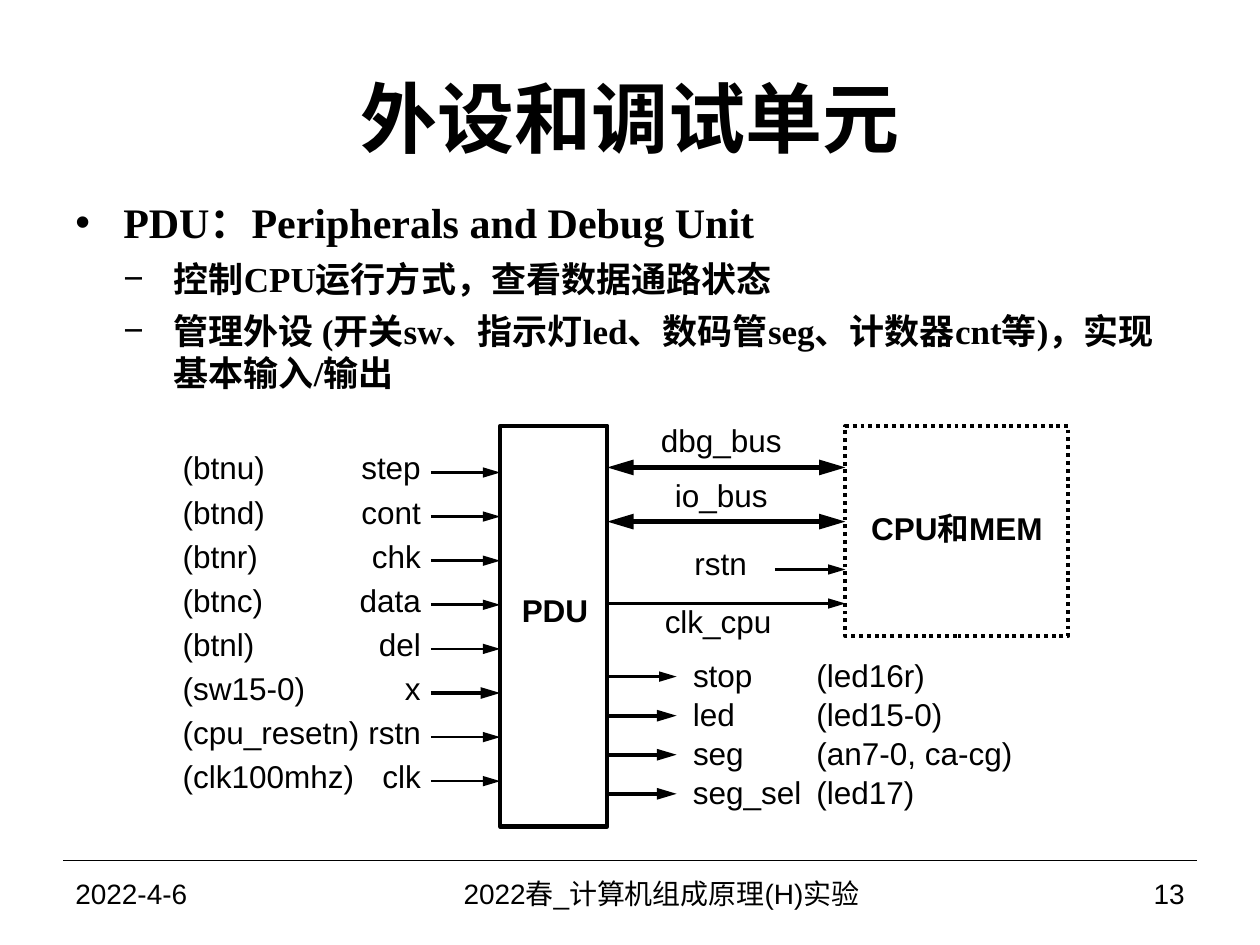
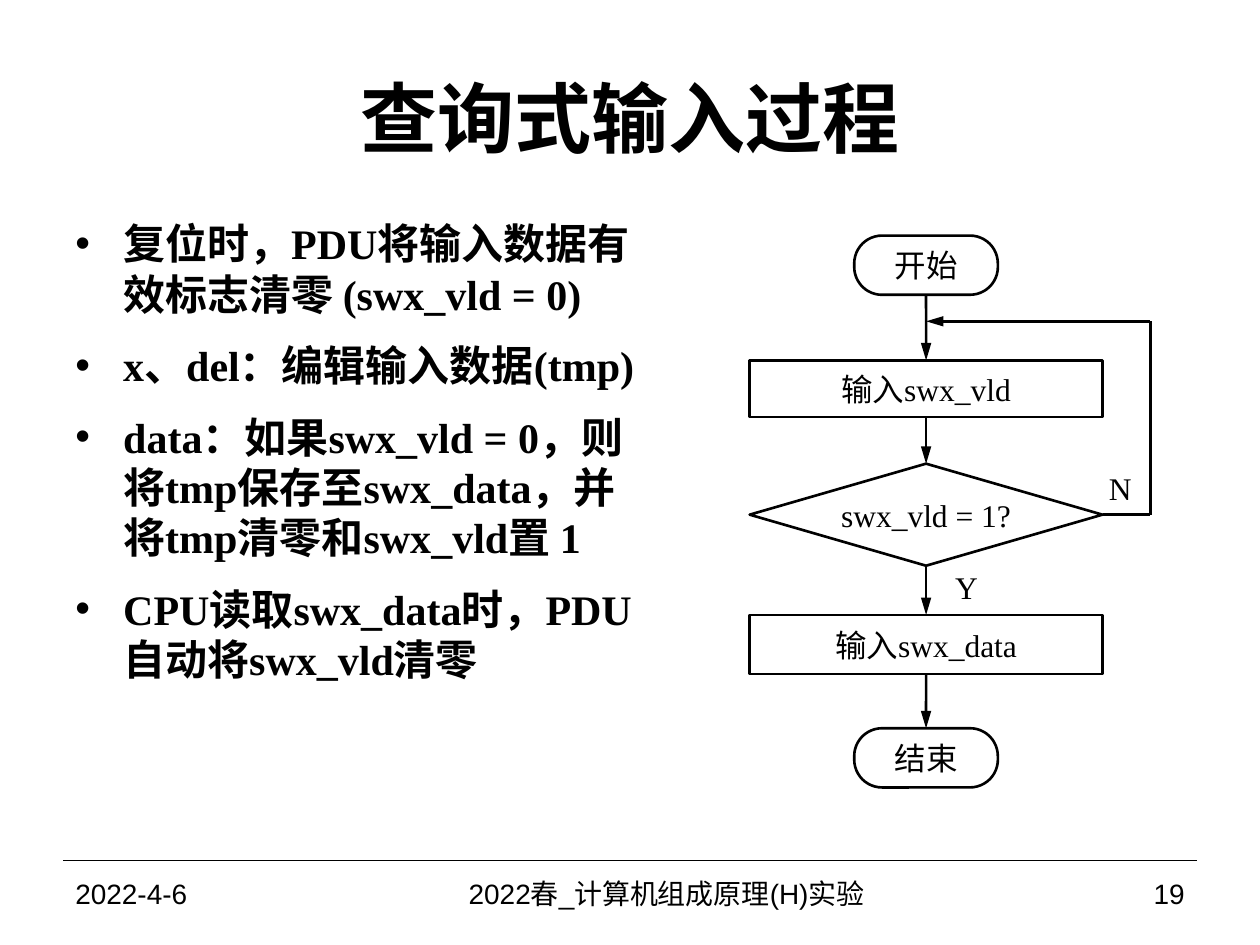
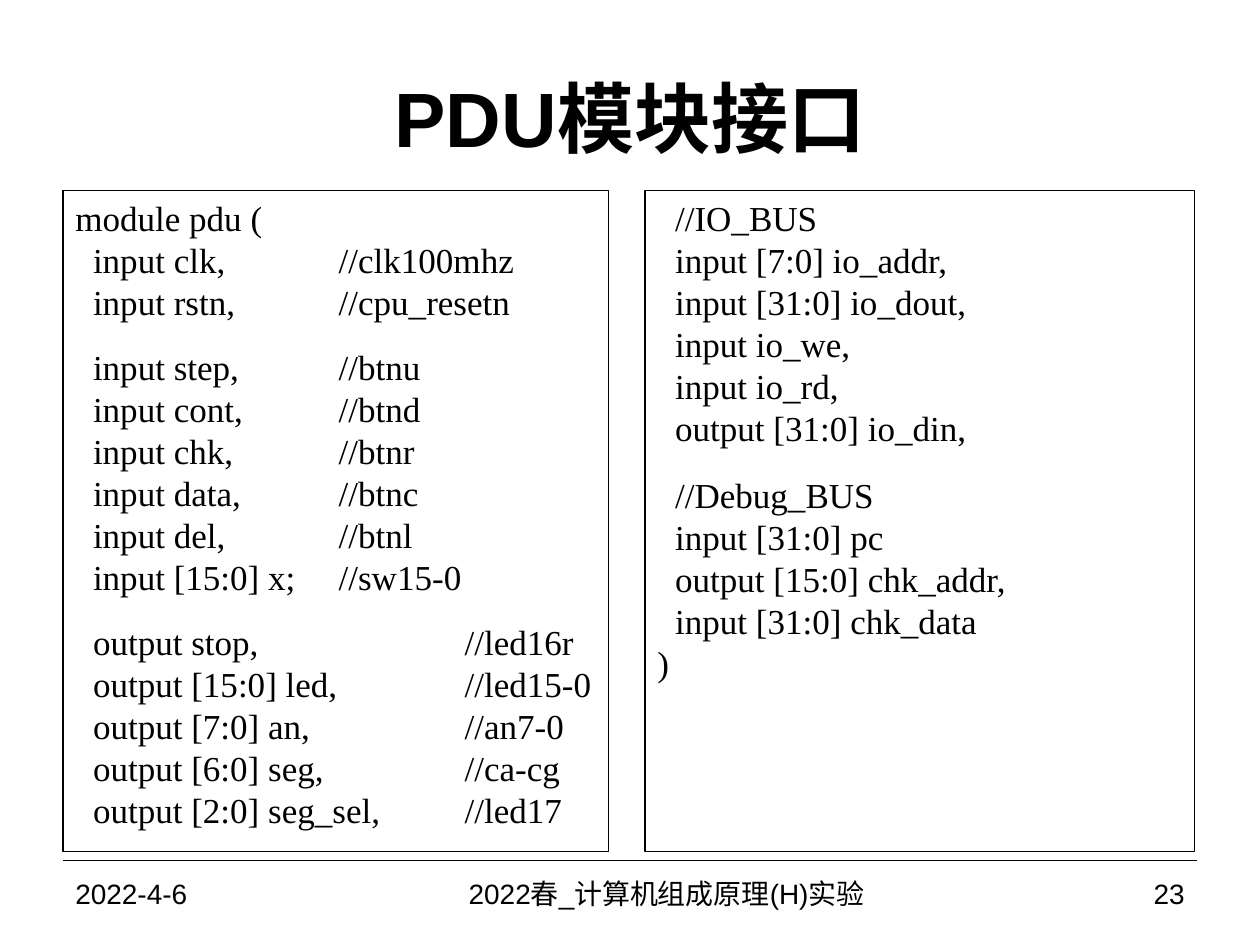
from lxml import etree
from pptx import Presentation
from pptx import util as u
from pptx.dml.color import RGBColor
from pptx.enum import dml, shapes, text
from pptx.oxml import ns

BLACK = RGBColor(0, 0, 0)
SANS, SERIF = "Arial", "Times New Roman"
LEFT, MID, RIGHT = text.PP_ALIGN.LEFT, text.PP_ALIGN.CENTER, text.PP_ALIGN.RIGHT
TOP, BOTTOM, EAST = 0, 2, 3  # connection sites
KIND = shapes.MSO_SHAPE

HEAD = {"name": SANS, "size": u.Pt(44), "bold": True}
FOOT = {"name": SANS, "size": u.Pt(16)}
LABEL = {"name": SANS, "size": u.Pt(18)}
BLOCK = {**LABEL, "bold": True}
FLOW = {"name": SERIF, "size": u.Pt(18)}
CODE = {"name": SERIF, "size": u.Pt(20)}
POINT = {"name": SERIF, "size": u.Pt(24), "bold": True}
SUB = {**POINT, "size": u.Pt(20)}

MIDDLE = {"vertical_anchor": text.MSO_ANCHOR.MIDDLE, "word_wrap": True}
TIGHT = {"vertical_anchor": text.MSO_ANCHOR.MIDDLE, "word_wrap": False,
         "margin_left": 0, "margin_right": 0, "margin_top": 0, "margin_bottom": 0}


def style(obj, vals):
    for key, val in vals.items():
        setattr(obj, key, val)


def inch(*vals):
    return [u.Inches(val) for val in vals]


def child(node, tag, **attrs):
    return etree.SubElement(node, ns.qn("a:" + tag), attrs)


def write(par, words, font, **vals):
    run = par.add_run()
    run.text = words
    style(run.font, font)
    run.font.color.rgb = BLACK
    style(par, vals)


def indent(par, left, first=None):
    """Set the left margin and, if given, the first line's offset from it."""
    props = par._p.get_or_add_pPr()
    props.set("marL", str(u.Inches(left)))
    if first is not None:
        props.set("indent", str(u.Inches(first)))
    return props


def label(slide, box, words, font, align=LEFT, frame=TIGHT):
    item = slide.shapes.add_textbox(*inch(*box))
    style(item.text_frame, frame)
    write(item.text_frame.paragraphs[0], words, font, alignment=align)


def outline(slide, kind, box, width):
    """Add an unfilled shape with a black edge."""
    item = slide.shapes.add_shape(kind, *inch(*box))
    item.shadow.inherit = False
    item.fill.background()
    item.line.color.rgb = BLACK
    item.line.width = u.Pt(width)
    return item


def wire(slide, start, end, width=1.5, ends=("tailEnd",)):
    """Add a straight line with arrowheads at the named ends."""
    item = slide.shapes.add_connector(shapes.MSO_CONNECTOR.STRAIGHT, *inch(*start, *end))
    item.line.color.rgb = BLACK
    item.line.width = u.Pt(width)
    props = item._element.spPr
    for tag in ends:
        child(props.find(ns.qn("a:ln")), tag, type="triangle", w="med", len="lg")
    child(props, "effectLst")
    return item


def page(deck, title, number, split=7.75):
    """Start a slide with its title, rule and footer; split is where the number begins."""
    slide = deck.slides.add_slide(deck.slide_layouts[6])
    wire(slide, (0.5, 6.83), (9.5, 6.83), 0.75, ())
    label(slide, (0.5, 0.3, 9, 1.25), title, HEAD, MID, MIDDLE)
    parts = [(0.5, 2.83, "2022-4-6", LEFT),
             (2.83, split, "2022春_计算机组成原理(H)实验", MID),
             (split, 9.5, number, RIGHT)]
    for left, right, words, align in parts:
        label(slide, (left, 6.83, right - left, 0.52), words, FOOT, align, MIDDLE)
    return slide


def points(slide, box, rows, gap):
    """Fill a box with bulleted rows of (level, words)."""
    frame = slide.shapes.add_textbox(*inch(*box)).text_frame
    frame.word_wrap = True
    looks = [(POINT, 0.38, -0.38, "•"), (SUB, 0.78, -0.4, "−")]
    for i, (level, words) in enumerate(rows):
        par = frame.add_paragraph() if i else frame.paragraphs[0]
        font, left, first, mark = looks[level]
        write(par, words, font, level=level, space_before=u.Pt(gap))
        props = indent(par, left, first)
        child(props, "buFont", typeface=SANS)
        child(props, "buChar", char=mark)


def inputs(slide, x, y):
    """Draw the signals that enter the edge at x."""
    rows = [("step", 0.48, "(btnu)", 0.66), ("cont", 0.48, "(btnd)", 0.66),
            ("chk", 0.39, "(btnr)", 0.6), ("data", 0.49, "(btnc)", 0.64),
            ("del", 0.34, "(btnl)", 0.57), ("x", 0.13, "(sw15-0)", 1.01),
            ("rstn", 0.42, "(cpu_resetn)", 1.42), ("clk", 0.31, "(clk100mhz)", 1.38)]
    for i, (name, wide, pin, span) in enumerate(rows):
        row = y + 0.37 + 0.35 * i
        wire(slide, (x - 0.55, row), (x, row), 2.25 if name == "x" else 1.5)
        label(slide, (x - 0.63 - wide, row - 0.19, wide, 0.3), name, LABEL, RIGHT)
        label(slide, (x - 2.52, row - 0.19, span, 0.3), pin, LABEL)


def outputs(slide, x, y):
    """Draw the signals that leave the edge at x."""
    rows = [("stop", 0.48, "(led16r)", 0.9), ("led", 0.34, "(led15-0)", 1.1),
            ("seg", 0.41, "(an7-0, ca-cg)", 1.65), ("seg_sel", 0.87, "(led17)", 0.8)]
    for i, (name, wide, pin, span) in enumerate(rows):
        row = y + 0.31 * i
        wire(slide, (x, row), (x + 0.55, row), 2.25 if i else 1.5)
        label(slide, (x + 0.68, row - 0.18, wide, 0.33), name, LABEL)
        label(slide, (x + 1.66, row - 0.18, span, 0.33), pin, LABEL)


def buses(slide, x, y, end):
    """Draw the lines between the two blocks."""
    both = ("headEnd", "tailEnd")
    rows = [("dbg_bus", 0.33, 0, 3, both, 0.42, -0.04, 0.97),
            ("io_bus", 0.76, 0, 3, both, 0.42, 0.4, 0.97),
            ("rstn", 1.14, 1.33, 1.5, both[1:], 0.69, 0.94, 0.42),
            ("clk_cpu", 1.41, 0, 1.5, both[1:], 0.45, 1.4, 0.86)]
    for name, row, start, width, ends, left, top, wide in rows:
        wire(slide, (x + start, y + row), (end, y + row), width, ends)
        label(slide, (x + left, y + top, wide, 0.3), name, LABEL, MID)


def blocks(slide, box):
    """Draw the PDU block in the box, the processor beside it, and their signals."""
    x, y, w, h = box
    edge, far = x + w, x + 2.74
    outline(slide, KIND.RECTANGLE, box, 2.5)
    label(slide, (x + 0.07, y + 1.26, 0.73, 0.4), "PDU", BLOCK, MID)
    core = outline(slide, KIND.RECTANGLE, (far, y, 1.77, 1.67), 2.25)
    core.line.dash_style = dml.MSO_LINE.ROUND_DOT
    style(core.text_frame, TIGHT)
    write(core.text_frame.paragraphs[0], "CPU和MEM", BLOCK, alignment=MID,
          line_spacing=u.Pt(18))
    inputs(slide, x, y)
    buses(slide, edge, y, far)
    outputs(slide, edge, y + 1.99)


def flow(slide, box):
    """Draw the polling flowchart down the middle of the box."""
    x, y, w, _ = box
    steps = [(KIND.ROUNDED_RECTANGLE, 0, 1.14, 0.47, "开始"),
             (KIND.RECTANGLE, 0.99, w, 0.45, "输入swx_vld"),
             (KIND.DIAMOND, 1.81, w, 0.81, "swx_vld = 1?"),
             (KIND.RECTANGLE, 3.01, w, 0.47, "输入swx_data"),
             (KIND.ROUNDED_RECTANGLE, 3.91, 1.14, 0.47, "结束")]
    nodes = []
    for kind, top, wide, tall, words in steps:
        node = outline(slide, kind, (x + (w - wide) / 2, y + top, wide, tall), 1.5)
        if kind == KIND.ROUNDED_RECTANGLE:
            node.adjustments[0] = 0.47
        style(node.text_frame, TIGHT)
        write(node.text_frame.paragraphs[0], words, FLOW, alignment=MID)
        nodes.append(node)
    for above, below in zip(nodes, nodes[1:]):
        link = wire(slide, (x, y), (x, y))
        link.begin_connect(above, BOTTOM)
        link.end_connect(below, TOP)

    side, low, high = x + w + 0.38, y + 2.215, y + 0.68
    back = wire(slide, (x + w, low), (side, low), ends=())
    back.begin_connect(nodes[2], EAST)
    wire(slide, (side, low), (side, high), ends=())
    wire(slide, (side, high), (x + w / 2, high))
    label(slide, (x + w + 0.05, y + 1.77, 0.33, 0.47), "N", FLOW)
    label(slide, (x + 1.63, y + 2.62, 0.2, 0.34), "Y", FLOW)


def listing(slide, box, groups, gap):
    """Fill a framed box with groups of (tab stop, code lines), spaced by gap."""
    item = outline(slide, KIND.RECTANGLE, box, 0.75)
    frame = item.text_frame
    style(frame, {"word_wrap": True, "vertical_anchor": text.MSO_ANCHOR.TOP})
    par = frame.paragraphs[0]
    for i, (stop, lines) in enumerate(groups):
        for j, line in enumerate(lines):
            if i or j:
                par = frame.add_paragraph()
            space = gap if i and not j else 0
            write(par, line, CODE, alignment=LEFT, space_before=u.Pt(space))
            outer = line.startswith(("module", ")"))
            props = indent(par, 0 if outer else 0.14)
            if stop:
                child(child(props, "tabLst"), "tab", pos=str(u.Inches(stop)), algn="l")


def main():
    deck = Presentation()
    deck.slide_width, deck.slide_height = inch(10, 7.5)

    unit = page(deck, "外设和调试单元", "13", 7.67)
    points(unit, (0.5, 1.51, 8.91, 1.78), [
        (0, "PDU：Peripherals and Debug Unit"),
        (1, "控制CPU运行方式，查看数据通路状态"),
        (1, "管理外设 (开关sw、指示灯led、数码管seg、计数器cnt等)，实现基本输入/输出")], 6)
    blocks(unit, (3.97, 3.38, 0.85, 3.18))

    poll = page(deck, "查询式输入过程", "19")
    points(poll, (0.5, 1.68, 4.73, 5.15), [
        (0, "复位时，PDU将输入数据有效标志清零 (swx_vld = 0)"),
        (0, "x、del：编辑输入数据(tmp)"),
        (0, "data：如果swx_vld = 0，则将tmp保存至swx_data，并将tmp清零和swx_vld置 1"),
        (0, "CPU读取swx_data时，PDU自动将swx_vld清零")], 12)
    flow(poll, (5.95, 1.87, 2.8, 4.38))

    ports = page(deck, "PDU模块接口", "23")
    listing(ports, (0.5, 1.51, 4.33, 5.25), [
        (1.95, ["module pdu (", "input clk,\t//clk100mhz", "input rstn,\t//cpu_resetn"]),
        (1.95, ["input step,\t//btnu", "input cont,\t//btnd", "input chk,\t//btnr",
                "input data,\t//btnc", "input del,\t//btnl", "input [15:0] x;\t//sw15-0"]),
        (2.95, ["output stop,\t//led16r", "output [15:0] led,\t//led15-0",
                "output [7:0] an,\t//an7-0", "output [6:0] seg,\t//ca-cg",
                "output [2:0] seg_sel,\t//led17"])], 13)
    listing(ports, (5.12, 1.51, 4.36, 5.25), [
        (0, ["//IO_BUS", "input [7:0] io_addr,", "input [31:0] io_dout,",
             "input io_we,", "input io_rd,", "output [31:0] io_din,"]),
        (0, ["//Debug_BUS", "input [31:0] pc", "output [15:0] chk_addr,",
             "input [31:0] chk_data", ")"])], 14)

    deck.save("out.pptx")


if __name__ == "__main__":
    main()
